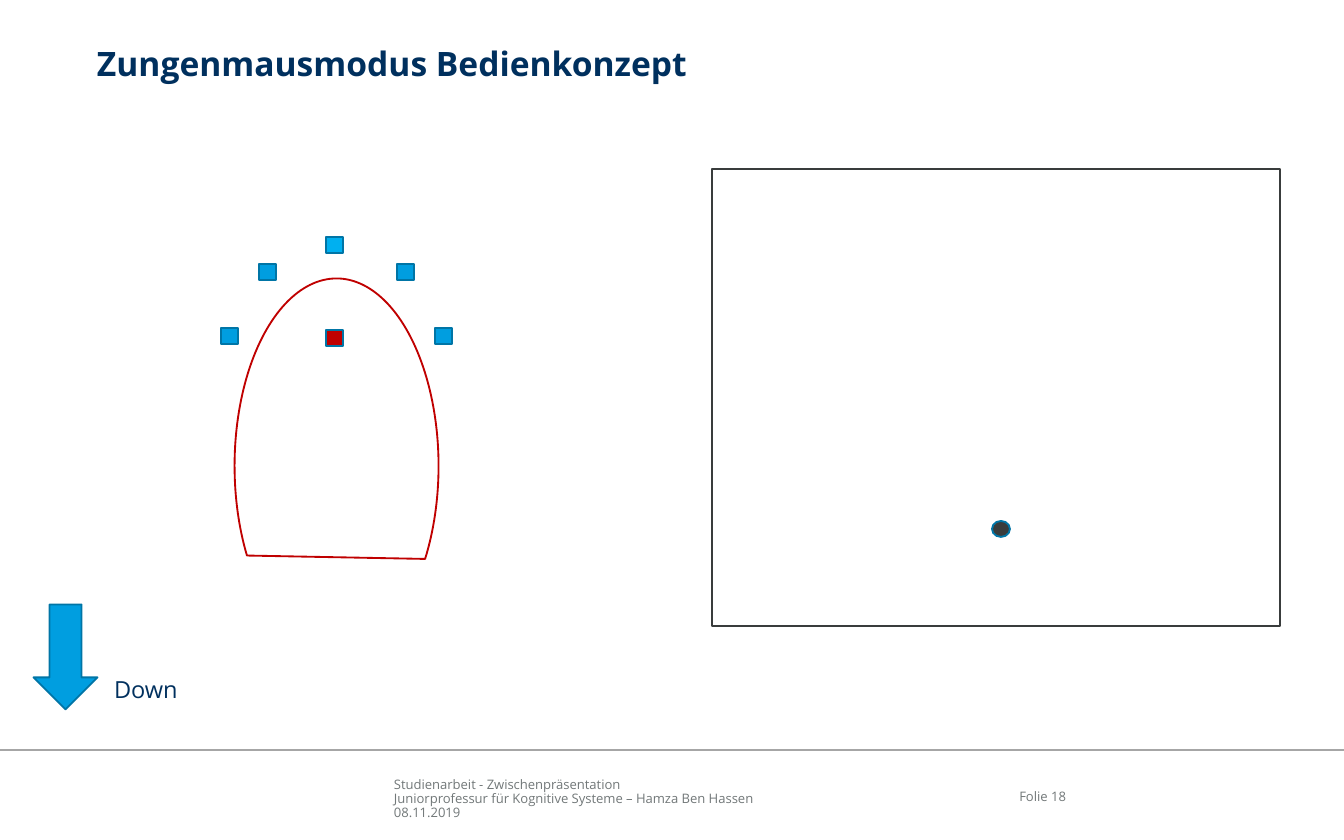
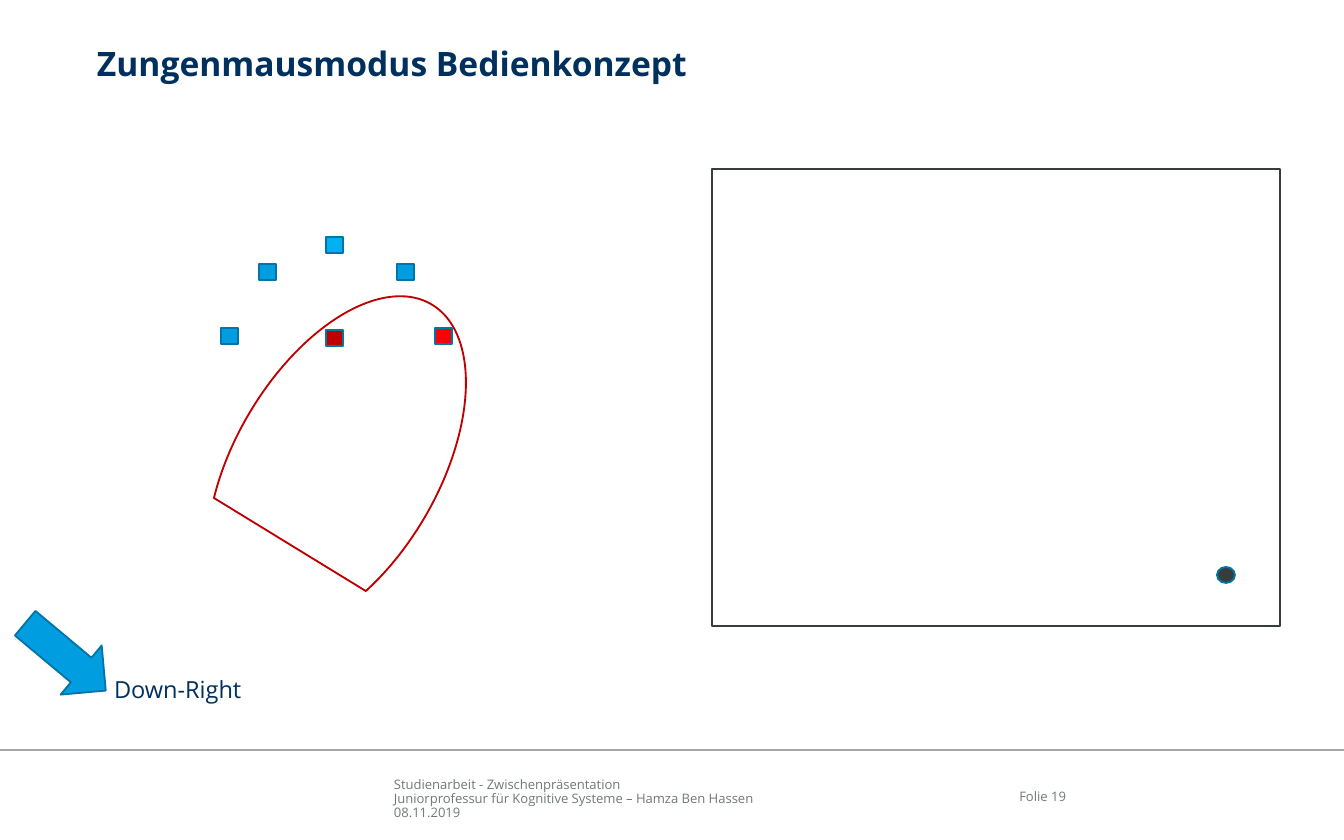
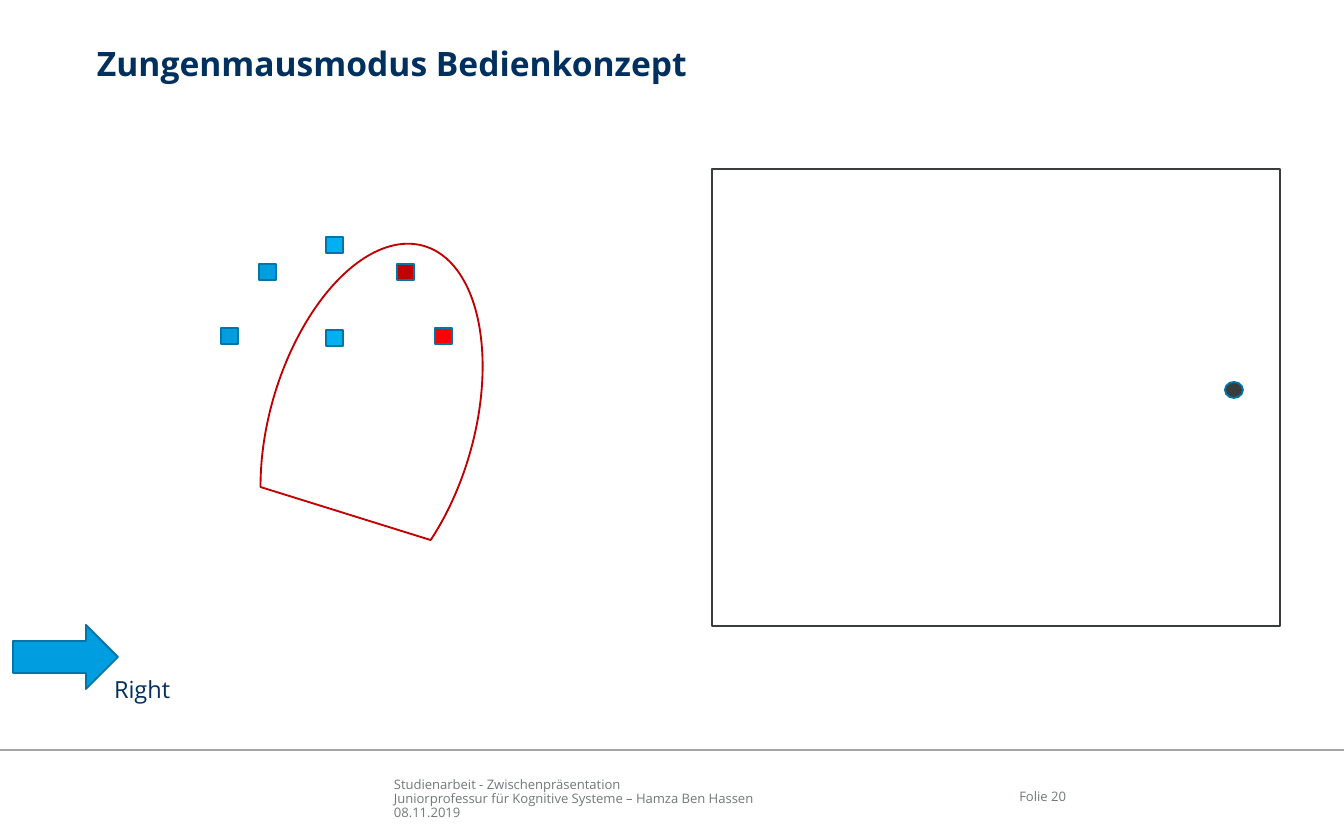
from lxml.etree import SubElement
from pptx import Presentation
from pptx.dml.color import RGBColor
from pptx.enum.shapes import MSO_CONNECTOR, MSO_SHAPE
from pptx.enum.text import MSO_ANCHOR, PP_ALIGN
from pptx.oxml.ns import qn
from pptx.util import Pt

EMU_PER_PX = 914400 / 134.4
FONT = "Open Sans"
COLORS = {
    "navy": "00305E",
    "blue": "009EE0",
    "sky": "00B0F0",
    "edge": "0075A6",
    "dark_red": "C00000",
    "red": "FF0000",
    "charcoal": "393C3C",
    "gray": "727879",
    "rule": "A6A6A6",
    "white": "FFFFFF",
}
TITLE = "Zungenmausmodus Bedienkonzept"
FOOTER = [
    "Studienarbeit - Zwischenpräsentation",
    "Juniorprofessur für Kognitive Systeme – Hamza Ben Hassen",
    "08.11.2019",
]
SENSORS = {
    "front": (326, 237),
    "front_right": (397, 264),
    "front_left": (259, 264),
    "right": (435, 328),
    "left": (221, 328),
    "center": (326, 330),
}
IDLE = dict.fromkeys(SENSORS, "blue") | {"front": "sky", "center": "sky"}
STEPS = [
    {
        "number": 18, "direction": "Down", "arrow_angle": 90,
        "tongue": (149, 364), "tongue_angle": 90, "cursor": (992, 521),
        "active": {"center": "dark_red"},
    },
    {
        "number": 19, "direction": "Down-Right", "arrow_angle": 39.9,
        "tongue": (149, 364), "tongue_angle": 120.4, "cursor": (1217, 567),
        "active": {"center": "dark_red", "right": "red"},
    },
    {
        "number": 20, "direction": "Right", "arrow_angle": 0,
        "tongue": (184, 324), "tongue_angle": 106.2, "cursor": (1225, 382),
        "active": {"front_right": "dark_red", "right": "red"},
    },
]


def px(*lengths):
    return [round(length * EMU_PER_PX) for length in lengths]


def rgb(color):
    return RGBColor.from_string(COLORS[color])


def write(frame, lines, size, color, bold=False, align=PP_ALIGN.LEFT,
          anchor=MSO_ANCHOR.TOP, spacing=1.0, inset=0):
    frame.word_wrap = True
    frame.vertical_anchor = anchor
    frame.margin_left = frame.margin_right = px(inset)[0]
    frame.margin_top = frame.margin_bottom = px(inset / 2)[0]
    for index, line in enumerate(lines):
        paragraph = frame.add_paragraph() if index else frame.paragraphs[0]
        paragraph.alignment = align
        paragraph.line_spacing = spacing
        run = paragraph.add_run()
        run.text = line
        run.font.name = FONT
        run.font.size = Pt(size)
        run.font.bold = bold
        run.font.color.rgb = rgb(color)


def add_text(slide, box, lines, size, color, **style):
    frame = slide.shapes.add_textbox(*px(*box)).text_frame
    write(frame, lines, size, color, **style)


def add_figure(shapes, preset, box, fill, line, angle=0):
    figure = shapes.add_shape(preset, *px(*box))
    figure.shadow.inherit = False
    figure.fill.solid()
    figure.fill.fore_color.rgb = rgb(fill)
    figure.line.color.rgb = rgb(line)
    figure.line.width = Pt(1)
    figure.rotation = angle
    return figure


def add_title(slide):
    title = slide.shapes.title
    title.left, title.top, title.width, title.height = px(97, 43, 1167, 83)
    write(title.text_frame, [TITLE], 18, "navy", bold=True)


def add_footer(slide, number):
    rule = slide.shapes.add_connector(
        MSO_CONNECTOR.STRAIGHT, *px(0, 750, 1344, 750))
    rule.line.color.rgb = rgb("rule")
    rule.line.width = Pt(1)
    SubElement(rule._element.spPr, qn("a:effectLst"))
    add_text(slide, (394, 773, 573, 47), FOOTER, 7, "gray",
             anchor=MSO_ANCHOR.BOTTOM, spacing=0.88)
    add_text(slide, (988, 773, 78, 47), [f"Folie {number}"], 7, "gray",
             align=PP_ALIGN.RIGHT, anchor=MSO_ANCHOR.MIDDLE)


def add_tongue(slide, corner, angle):
    tongue = add_figure(slide.shapes, MSO_SHAPE.CHORD, (*corner, 375, 204),
                        "white", "dark_red", angle)
    tongue.adjustments[0] = 27
    tongue.adjustments[1] = 189.84


def add_sensors(slide, active):
    sensors = slide.shapes.add_group_shape().shapes
    fills = IDLE | active
    for place, corner in SENSORS.items():
        add_figure(sensors, MSO_SHAPE.RECTANGLE, (*corner, 17, 16),
                   fills[place], "edge")


def add_screen(slide, cursor):
    add_figure(slide.shapes, MSO_SHAPE.RECTANGLE, (712, 169, 568, 457),
               "white", "charcoal")
    add_figure(slide.shapes, MSO_SHAPE.OVAL, (*cursor, 18, 16),
               "charcoal", "edge")


def add_direction(slide, direction, angle):
    add_text(slide, (101, 669, 308, 71), [direction], 12.6, "navy", inset=13)
    add_figure(slide.shapes, MSO_SHAPE.RIGHT_ARROW, (13, 625, 105, 64),
               "blue", "edge", angle)


def main():
    deck = Presentation()
    deck.slide_width, deck.slide_height = px(1344, 840)
    for step in STEPS:
        slide = deck.slides.add_slide(deck.slide_layouts[5])
        add_footer(slide, step["number"])
        add_tongue(slide, step["tongue"], step["tongue_angle"])
        add_sensors(slide, step["active"])
        add_title(slide)
        add_screen(slide, step["cursor"])
        add_direction(slide, step["direction"], step["arrow_angle"])
    deck.save("out.pptx")


if __name__ == "__main__":
    main()
